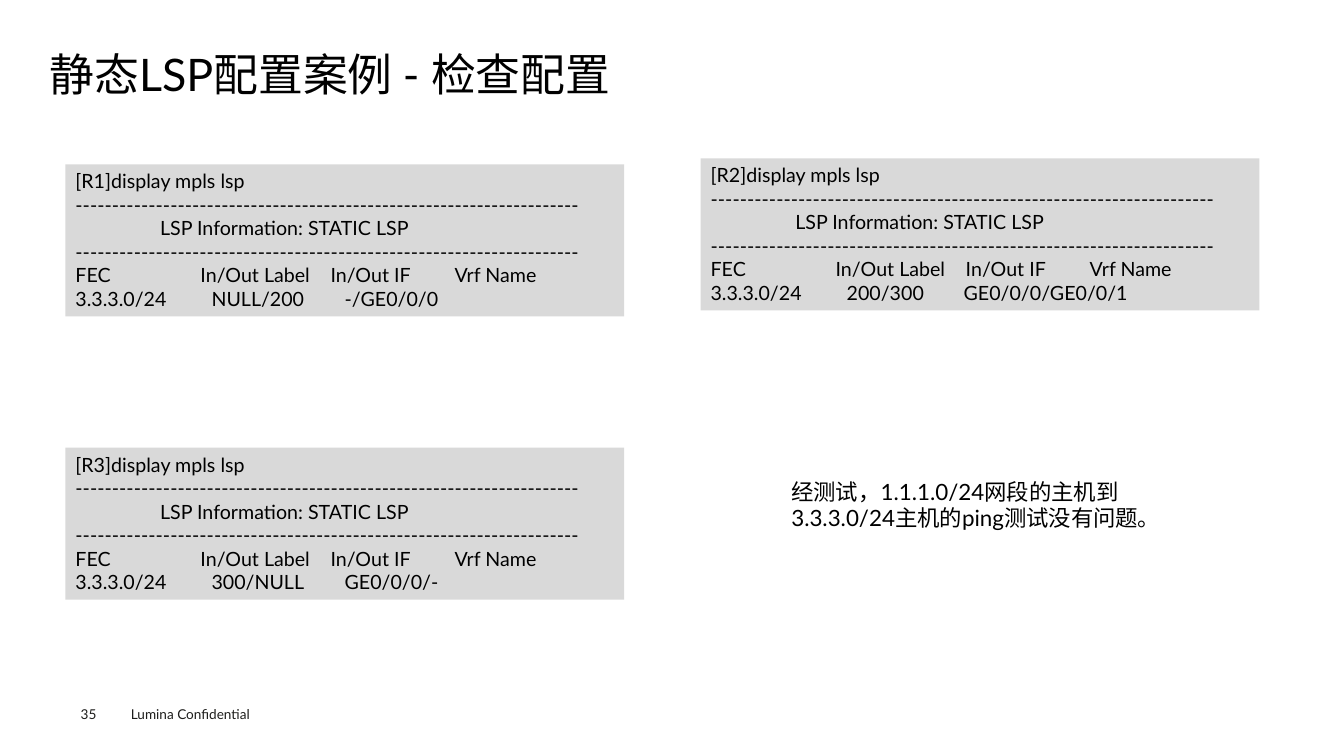
from dataclasses import dataclass
from typing import Any, NamedTuple

from lxml.etree import SubElement
from pptx import Presentation
from pptx.dml.color import RGBColor
from pptx.enum.shapes import MSO_SHAPE as Preset
from pptx.enum.text import MSO_ANCHOR as Anchor, MSO_AUTO_SIZE as AutoSize, PP_ALIGN as Align
from pptx.oxml.ns import qn
from pptx.util import Pt

EMU_PER_PX = 9144
TITLE_ONLY = 5


def px(length: int) -> int:
    return length * EMU_PER_PX


@dataclass(frozen=True)
class Theme:
    font: str = "Lato"
    ink: RGBColor = RGBColor(0x00, 0x00, 0x00)
    footer_ink: RGBColor = RGBColor(0x1D, 0x1D, 0x1B)
    panel: RGBColor = RGBColor(0xD9, 0xD9, 0xD9)
    title_size: float = 32
    note_size: float = 16
    code_size: float = 14
    footer_size: float = 9.7


class Frame(NamedTuple):
    left: int
    top: int
    width: int
    height: int


class Line(NamedTuple):
    text: str
    tabs: tuple[int, ...] = ()


class Label(NamedTuple):
    frame: Frame
    text: str
    size: float
    color: RGBColor
    inset: bool = True


class LspOutput(NamedTuple):
    router: str
    left: int
    top: int
    labels: str
    interfaces: str
    interface_tab: int


THEME = Theme()
PANEL_WIDTH, PANEL_HEIGHT = 554, 151
RULE = Line("-" * 69)
TITLE = Label(Frame(49, 49, 1235, 54), "静态LSP配置案例 - 检查配置", THEME.title_size, THEME.ink, False)
LABELS = (
    Label(Frame(120, 695, 160, 27), "Lumina Confidential", THEME.footer_size, THEME.footer_ink),
    Label(Frame(80, 700, 55, 16), "35", THEME.footer_size, THEME.footer_ink, False),
    Label(Frame(775, 469, 428, 91), "经测试，1.1.1.0/24网段的主机到3.3.3.0/24主机的ping测试没有问题。",
          THEME.note_size, THEME.ink),
)
OUTPUTS = (
    LspOutput("R1", 65, 163, "NULL/200", "-/GE0/0/0", 267),
    LspOutput("R3", 65, 444, "300/NULL", "GE0/0/0/-", 267),
    LspOutput("R2", 695, 157, "200/300", "GE0/0/0/GE0/0/1", 251),
)


def apply(target: Any, values: dict[str, Any]) -> None:
    for name, value in values.items():
        setattr(target, name, value)


def place(shape: Any, frame: Frame) -> None:
    apply(shape, {name: px(length) for name, length in frame._asdict().items()})


def write(shape: Any, lines: tuple[Line, ...], size: float, color: RGBColor,
          inset: bool = True, anchor: Anchor = Anchor.TOP) -> None:
    box = shape.text_frame
    apply(box, {"word_wrap": True, "auto_size": AutoSize.NONE, "vertical_anchor": anchor})
    if not inset:
        apply(box, dict.fromkeys(("margin_left", "margin_top", "margin_right", "margin_bottom"), 0))
    for index, line in enumerate(lines):
        para = box.add_paragraph() if index else box.paragraphs[0]
        para.alignment = Align.LEFT
        if line.tabs:
            stops = SubElement(para._p.get_or_add_pPr(), qn("a:tabLst"))
            for stop in line.tabs:
                SubElement(stops, qn("a:tab"), pos=str(px(stop)), algn="l")
        span = para.add_run()
        span.text = line.text
        apply(span.font, {"name": THEME.font, "size": Pt(size)})
        span.font.color.rgb = color


def draw_title(page: Any, title: Label) -> None:
    shape = page.shapes.title
    place(shape, title.frame)
    write(shape, (Line(title.text),), title.size, title.color, title.inset, Anchor.MIDDLE)
    shape.text_frame.paragraphs[0].line_spacing = 0.9


def draw_label(page: Any, label: Label) -> None:
    box = page.shapes.add_textbox(*map(px, label.frame))
    write(box, (Line(label.text),), label.size, label.color, label.inset)


def draw_output(page: Any, output: LspOutput) -> None:
    frame = Frame(output.left, output.top, PANEL_WIDTH, PANEL_HEIGHT)
    panel = page.shapes.add_shape(Preset.RECTANGLE, *map(px, frame))
    panel.shadow.inherit = False
    panel.fill.solid()
    panel.fill.fore_color.rgb = THEME.panel
    panel.line.fill.background()
    lines = (
        Line(f"[{output.router}]display mpls lsp"),
        RULE,
        Line("\tLSP Information: STATIC LSP", (84,)),
        RULE,
        Line("FEC\tIn/Out Label\tIn/Out IF\tVrf Name", (124, 253, 376)),
        Line(f"3.3.3.0/24\t{output.labels}\t{output.interfaces}", (135, output.interface_tab)),
    )
    write(panel, lines, THEME.code_size, THEME.ink)


def main() -> None:
    deck = Presentation()
    apply(deck, {"slide_width": px(1333), "slide_height": px(750)})
    page = deck.slides.add_slide(deck.slide_layouts[TITLE_ONLY])
    draw_title(page, TITLE)
    for output in OUTPUTS:
        draw_output(page, output)
    for label in LABELS:
        draw_label(page, label)
    deck.save("out.pptx")


if __name__ == "__main__":
    main()
